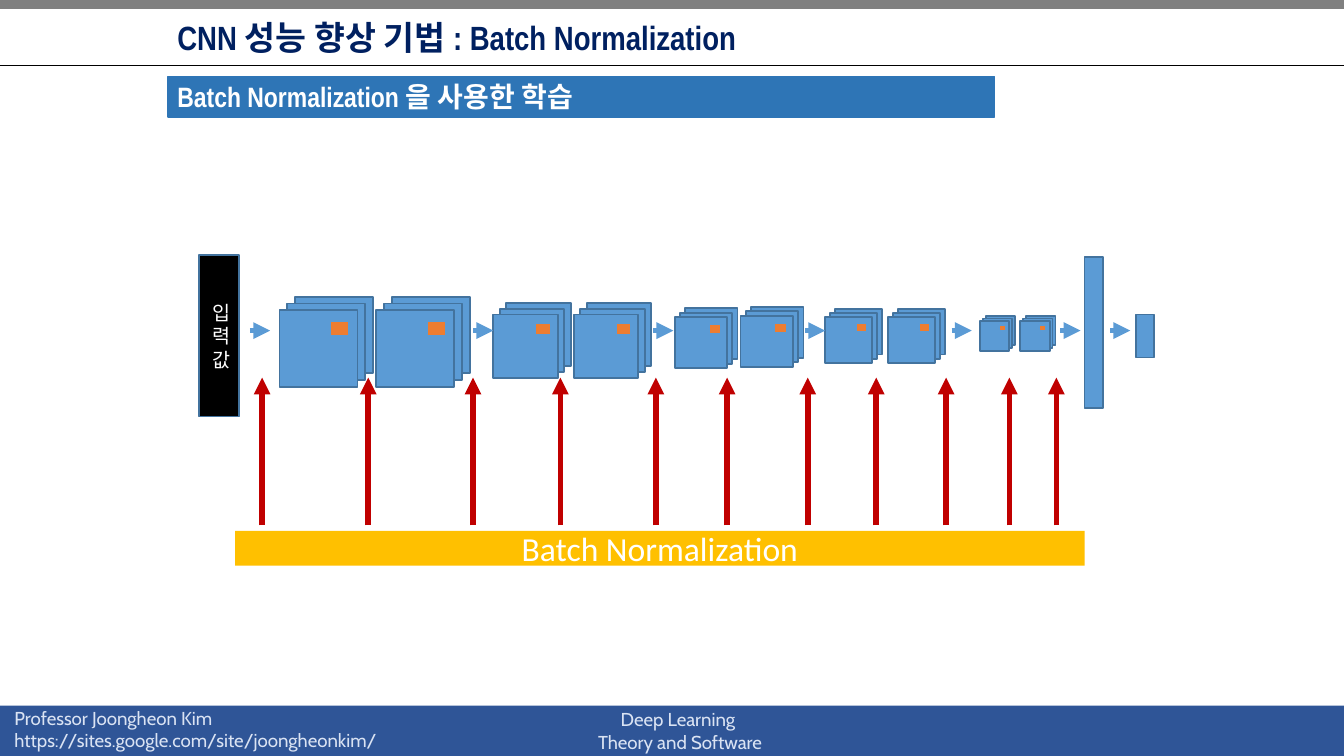
from lxml import etree
from pptx import Presentation
from pptx.dml.color import RGBColor
from pptx.enum.shapes import MSO_CONNECTOR, MSO_SHAPE
from pptx.enum.text import MSO_ANCHOR, PP_ALIGN
from pptx.oxml.ns import qn
from pptx.util import Inches, Pt

RECT = MSO_SHAPE.RECTANGLE
STRAIGHT = MSO_CONNECTOR.STRAIGHT
LEFT, CENTER = PP_ALIGN.LEFT, PP_ALIGN.CENTER
TOP, MIDDLE = MSO_ANCHOR.TOP, MSO_ANCHOR.MIDDLE

WIDTH = 10
HEIGHT = WIDTH * 9 / 16

WHITE = RGBColor(0xFF, 0xFF, 0xFF)
BLACK = RGBColor(0, 0, 0)
GRAY = RGBColor(0x80, 0x80, 0x80)
NAVY = RGBColor(0x00, 0x20, 0x60)
BANNER = RGBColor(0x2E, 0x75, 0xB6)
FOOTER = RGBColor(0x2F, 0x55, 0x97)
PALE = RGBColor(0xDA, 0xE3, 0xF3)
BLUE = RGBColor(0x5B, 0x9B, 0xD5)
EDGE = RGBColor(0x43, 0x73, 0x9E)
ORANGE = RGBColor(0xED, 0x7D, 0x31)
GOLD = RGBColor(0xFF, 0xC0, 0x00)
RED = RGBColor(0xC0, 0x00, 0x00)

# Front map of each stack: left, top, width, height
STACKS = [
    (2.08, 2.31, 0.58, 0.57), (2.80, 2.31, 0.58, 0.57),
    (3.67, 2.34, 0.48, 0.47), (4.27, 2.34, 0.48, 0.47),
    (5.02, 2.36, 0.39, 0.38), (5.51, 2.35, 0.39, 0.38),
    (6.14, 2.36, 0.35, 0.34), (6.61, 2.36, 0.35, 0.34),
    (7.29, 2.39, 0.22, 0.22), (7.59, 2.39, 0.22, 0.22),
]
NORMS = [1.95, 2.74, 3.52, 4.17, 4.88, 5.41, 6.01, 6.52, 7.04, 7.51, 7.86]
FLOWS = [1.86, 3.52, 4.86, 5.99, 7.08, 7.89, 8.26]


def add_rect(slide, x, y, w, h, fill, edge=None):
    box = slide.shapes.add_shape(RECT, Inches(x), Inches(y), Inches(w), Inches(h))
    box.shadow.inherit = False
    box.fill.solid()
    box.fill.fore_color.rgb = fill
    if edge is None:
        box.line.fill.background()
    else:
        box.line.color.rgb = edge
        box.line.width = Pt(1)
    return box


def add_box(slide, x, y, w, h):
    return slide.shapes.add_textbox(Inches(x), Inches(y), Inches(w), Inches(h))


def write(box, text, size, font, color, align=LEFT, anchor=MIDDLE,
          bold=False, wrap=True, tight=False):
    """Fill a box with text; tight means narrow margins."""
    frame = box.text_frame
    frame.text = text
    frame.word_wrap = wrap
    frame.vertical_anchor = anchor
    if tight:
        frame.margin_left = frame.margin_right = Inches(0.07)
        frame.margin_top = frame.margin_bottom = Inches(0.03)
    for para in frame.paragraphs:
        para.alignment = align
        for run in para.runs:
            run.font.size = Pt(size)
            run.font.name = font
            run.font.bold = bold
            run.font.color.rgb = color


def add_line(slide, x1, y1, x2, y2, color, width, arrow=True):
    line = slide.shapes.add_connector(
        STRAIGHT, Inches(x1), Inches(y1), Inches(x2), Inches(y2))
    line.line.color.rgb = color
    line.line.width = Pt(width)
    if arrow:
        etree.SubElement(line.line._get_or_add_ln(), qn("a:tailEnd"), type="triangle")
    etree.SubElement(line._element.spPr, qn("a:effectLst"))


def add_stack(slide, x, y, w, h):
    """Three overlapping feature maps with a filter patch on the front one."""
    for step in (2, 1, 0):
        add_rect(slide, x + step * 0.1 * w, y - step * 0.09 * h, w, h, BLUE, EDGE)
    add_rect(slide, x + 0.65 * w, y + 0.14 * h, 0.24 * w, 0.19 * h, ORANGE, BLUE)


def add_frame(slide):
    """Top rule, footer, title and banner."""
    add_rect(slide, 0, 5.25, WIDTH, HEIGHT - 5.25, FOOTER)
    add_rect(slide, 0, 0, WIDTH, 0.06, GRAY, GRAY)
    add_line(slide, 0, 0.49, WIDTH, 0.49, BLACK, 0.5, arrow=False)
    write(add_box(slide, 0.01, 5.21, 2.96, 0.44),
          "Professor Joongheon Kim\nhttps://sites.google.com/site/joongheonkim/",
          10, "Cabin", PALE, anchor=TOP, wrap=False)
    write(add_box(slide, 4.31, 5.22, 1.5, 0.44),
          "Deep Learning \vTheory and Software",
          10, "Cabin", PALE, CENTER, TOP, wrap=False)
    write(add_box(slide, 1.25, 0.03, 5.86, 0.49),
          "CNN 성능 향상 기법 : Batch Normalization",
          18, "Arial Narrow", NAVY, bold=True, tight=True)
    write(add_rect(slide, 1.25, 0.57, 6.15, 0.3, BANNER, BANNER),
          "Batch Normalization 을 사용한 학습",
          15, "Arial Narrow", WHITE, bold=True, tight=True)


def add_network(slide):
    for x in NORMS:
        add_line(slide, x, 3.91, x, 2.81, RED, 3)
    write(add_rect(slide, 1.75, 3.95, 6.32, 0.26, GOLD),
          "Batch Normalization", 18, "Calibri", WHITE, CENTER)
    for stack in STACKS:
        add_stack(slide, *stack)
    add_rect(slide, 8.07, 1.91, 0.14, 1.13, BLUE, EDGE)
    add_rect(slide, 8.45, 2.34, 0.14, 0.32, BLUE, EDGE)
    for x in FLOWS:
        add_line(slide, x, 2.46, x + 0.15, 2.46, BLUE, 3)
    write(add_rect(slide, 1.48, 1.9, 0.3, 1.2, BLACK, EDGE),
          "입력값", 10.5, "Calibri", WHITE, CENTER)


def main():
    deck = Presentation()
    deck.slide_width = Inches(WIDTH)
    deck.slide_height = Inches(HEIGHT)
    slide = deck.slides.add_slide(deck.slide_layouts[6])
    add_frame(slide)
    add_network(slide)
    deck.save("out.pptx")


if __name__ == "__main__":
    main()
